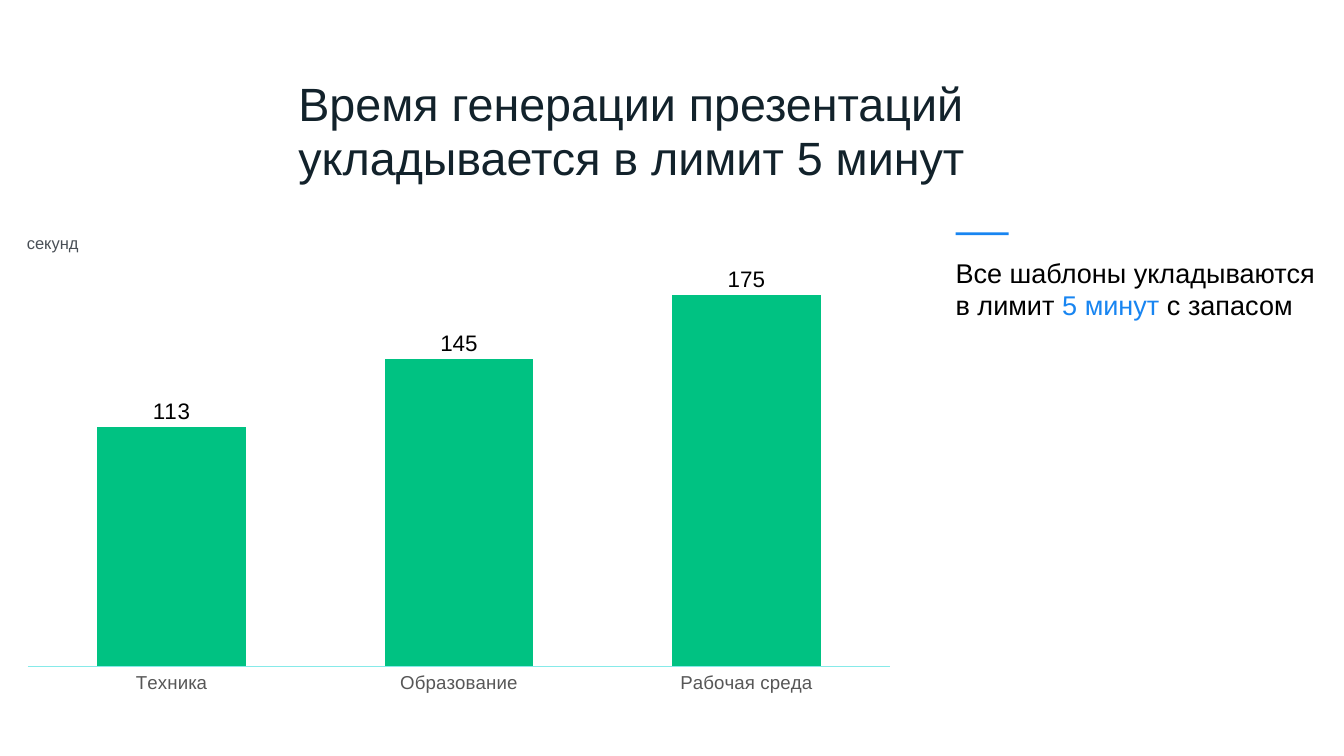
import pptx
import pptx.chart.data
import pptx.dml.color
import pptx.enum.chart
import pptx.enum.shapes
import pptx.oxml
import pptx.oxml.ns
import pptx.util

# Content
W, H = 20, 11.25
FONT = "Arial"
BLUE, GREEN, BLACK = "1885F1", "00C282", "000000"
TITLE = [("Время генерации презентаций укладывается в лимит 5 минут", "12222B")]
UNIT = [("секунд", "494F56")]
NOTE = [("Все шаблоны укладываются в лимит ", BLACK),
        ("5 минут", BLUE),
        (" с запасом", BLACK)]
SECONDS = {"Техника": 113, "Образование": 145, "Рабочая среда": 175}

# Columns and rows
MARGIN = 0.02 * W
CHART_W = 0.643 * W
NOTE_X = 0.711 * W
BODY_Y = 3.46
PLOT = {"x": 0.001, "y": 0.077, "w": 0.998, "h": 0.846}

Pt = pptx.util.Pt


def box(*inches):
    return [pptx.util.Inches(v) for v in inches]


def rgb(value):
    return pptx.dml.color.RGBColor.from_string(value)


def style(font, size, color):
    font.name, font.size = FONT, Pt(size)
    font.color.rgb = rgb(color)


def add_text(s, area, runs, size, line=None):
    tf = s.shapes.add_textbox(*box(*area)).text_frame
    tf.word_wrap = True
    tf.margin_left = tf.margin_right = tf.margin_top = tf.margin_bottom = 0
    p = tf.paragraphs[0]
    p.font.name, p.font.size = FONT, Pt(size)
    if line:
        p.line_spacing = Pt(line)
    for text, color in runs:
        r = p.add_run()
        r.text = text
        r.font.color.rgb = rgb(color)


def set_plot_layout(chart, shares):
    ns = pptx.oxml.ns.nsdecls("c")
    modes = "".join(f'<c:{k}Mode val="edge"/>' for k in "xy")
    sizes = "".join(f'<c:{k} val="{v}"/>' for k, v in shares.items())
    layout = pptx.oxml.parse_xml(
        f'<c:layout {ns}><c:manualLayout><c:layoutTarget val="inner"/>'
        f'{modes}{sizes}</c:manualLayout></c:layout>')
    area = chart._chartSpace.chart.plotArea
    for old in area.findall(pptx.oxml.ns.qn("c:layout")):
        area.remove(old)
    area.insert(0, layout)


def add_columns(s, area):
    enum = pptx.enum.chart
    data = pptx.chart.data.CategoryChartData()
    data.categories = list(SECONDS)
    data.add_series("Series 1", list(SECONDS.values()))
    chart = s.shapes.add_chart(
        enum.XL_CHART_TYPE.COLUMN_CLUSTERED, *box(*area), data).chart
    chart.has_legend = chart.has_title = False
    style(chart.font, 20, BLACK)
    set_plot_layout(chart, PLOT)

    # Axes
    values, cats = chart.value_axis, chart.category_axis
    values.minimum_scale, values.maximum_scale = 0, max(SECONDS.values())
    values.has_major_gridlines = values.visible = False
    cats.major_tick_mark = enum.XL_TICK_MARK.NONE
    cats.tick_label_position = enum.XL_TICK_LABEL_POSITION.LOW
    style(cats.tick_labels.font, 20, "575757")
    cats.format.line.color.rgb = rgb("86EAE9")
    cats.format.line.width = Pt(0.75)

    # Columns and their labels
    plot = chart.plots[0]
    plot.gap_width = 94
    plot.vary_by_categories = False
    fill = plot.series[0].format.fill
    fill.solid()
    fill.fore_color.rgb = rgb(GREEN)
    labels = plot.series[0].data_labels
    labels.show_value = True
    labels.position = enum.XL_LABEL_POSITION.OUTSIDE_END
    labels.number_format = '#,##0;"−"#,##0;'
    labels.number_format_is_linked = False
    style(labels.font, 24, BLACK)


prs = pptx.Presentation()
prs.slide_width, prs.slide_height = box(W, H)
s = prs.slides.add_slide(prs.slide_layouts[6])

# Title
add_text(s, (4.44, 1.14, 10.57, 1.77), TITLE, 50, line=58)

# Chart with its unit
add_text(s, (MARGIN, BODY_Y, CHART_W, 0.32), UNIT, 17.7)
add_columns(s, (MARGIN, 3.89, CHART_W, 6.53))

# Takeaway under an accent bar
bar = s.shapes.add_shape(pptx.enum.shapes.MSO_SHAPE.RECTANGLE,
                         *box(NOTE_X, BODY_Y, 0.79, 0.04))
bar.shadow.inherit = False
bar.fill.solid()
bar.fill.fore_color.rgb = rgb(BLUE)
bar.line.fill.background()
add_text(s, (NOTE_X, 3.81, W - MARGIN - NOTE_X, 0.99), NOTE, 29)

prs.save("out.pptx")
